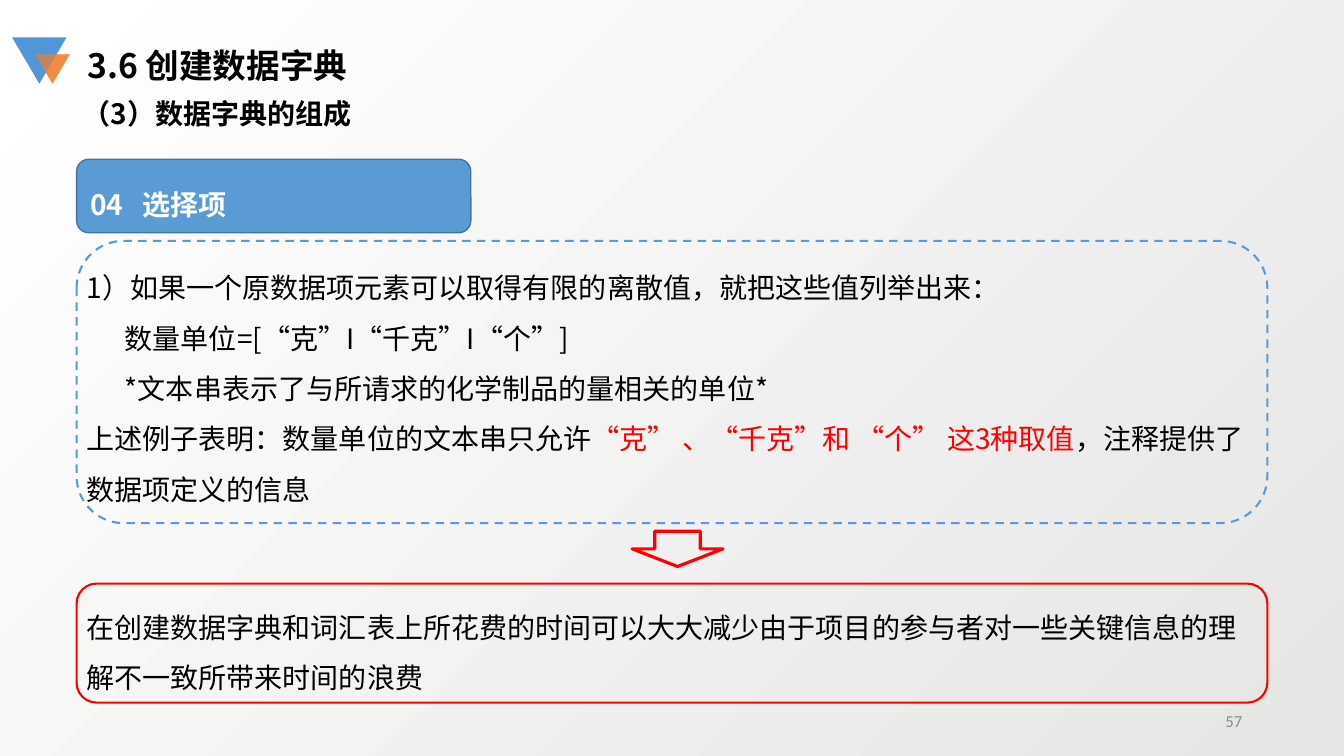
from pptx import Presentation
from pptx.dml.color import RGBColor
from pptx.enum.dml import MSO_LINE
from pptx.enum.shapes import MSO_SHAPE as SHAPE
from pptx.enum.text import MSO_ANCHOR as ANCHOR, MSO_AUTO_SIZE as AUTO_SIZE, PP_ALIGN as ALIGN
from pptx.oxml.ns import qn
from pptx.util import Pt
from lxml.etree import SubElement

PX = 9144
COLORS = {
    "black": "000000", "white": "FFFFFF", "red": "FF0000", "gray": "8C8C8C",
    "mist": "E6E6E5", "blue": "5B9BD5", "navy": "43739E",
    "logo_blue": "5197D7", "logo_orange": "F37D2A",
}
CJK = "Noto Sans CJK SC"
BODY = {"line_spacing": 1.5, "alignment": ALIGN.LEFT}
HEADING = {"bold": True}


def color(name):
    return RGBColor.from_string(COLORS[name])


def apply(target, values):
    for name, value in values.items():
        setattr(target, name, value)


class SlideBuilder:
    def __init__(self, width, height):
        self.presentation = Presentation()
        apply(self.presentation, {"slide_width": width * PX, "slide_height": height * PX})
        self.slide = self.presentation.slides.add_slide(self.presentation.slide_layouts[6])

    def background(self, *stops, angle):
        fill = self.slide.background.fill
        fill.gradient()
        fill.gradient_angle = angle
        for stop, name in zip(fill.gradient_stops, stops):
            stop.color.rgb = color(name)

    def shape(self, kind, box, fill=None, line=None, alpha=None, **values):
        shape = self.slide.shapes.add_shape(kind, *[length * PX for length in box])
        shape.shadow.inherit = False
        apply(shape, values)
        if fill:
            shape.fill.solid()
            shape.fill.fore_color.rgb = color(fill)
        else:
            shape.fill.background()
        if alpha:
            element = shape._element.spPr.find(".//" + qn("a:srgbClr"))
            SubElement(element, qn("a:alpha"), val=str(alpha * 1000))
        if line:
            name, width, dash = line
            shape.line.color.rgb = color(name)
            apply(shape.line, {"width": Pt(width), "dash_style": dash})
        else:
            shape.line.fill.background()
        return shape

    def text(self, box, paragraphs, anchor=ANCHOR.TOP, grow=True, **style):
        shape = self.slide.shapes.add_textbox(*[length * PX for length in box])
        size = AUTO_SIZE.SHAPE_TO_FIT_TEXT if grow else AUTO_SIZE.NONE
        apply(shape.text_frame, {"word_wrap": True, "auto_size": size, "vertical_anchor": anchor})
        self.fill_text(shape, paragraphs, **style)

    def fill_text(self, shape, paragraphs, layout=None, font=None, ink="black", tab=None):
        frame = shape.text_frame
        for index, (indent, *runs) in enumerate(paragraphs):
            paragraph = frame.add_paragraph() if index else frame.paragraphs[0]
            apply(paragraph, layout or {})
            properties = paragraph._p.get_or_add_pPr()
            if indent:
                properties.set("indent", str(indent * PX))
            if tab:
                tabs = SubElement(properties, qn("a:tabLst"))
                SubElement(tabs, qn("a:tab"), pos=str(tab * PX), algn="l")
            for part in runs:
                words, name = part if isinstance(part, tuple) else (part, ink)
                run = paragraph.add_run()
                run.text = words
                values = {"name": CJK, "size": Pt(20), **(font or {})}
                apply(run.font, values)
                run.font.color.rgb = color(name)
                SubElement(run._r.get_or_add_rPr(), qn("a:ea"), typeface=values["name"])

    def save(self):
        self.presentation.save("out.pptx")


def main():
    builder = SlideBuilder(1333, 750)
    builder.background("mist", "white", angle=135)

    orange = {"box": (35, 54, 34, 29), "fill": "logo_orange", "alpha": 68}
    blue = {"box": (12, 37, 54, 46), "fill": "logo_blue"}
    for triangle in (orange, blue, orange):
        builder.shape(SHAPE.ISOSCELES_TRIANGLE, rotation=180, **triangle)

    builder.text((77, 40, 353, 50), [(0, "3.6 创建数据字典")], font={"size": Pt(24), **HEADING})
    builder.text((72, 91, 849, 44), [(0, "（3）数据字典的组成")], font=HEADING)

    label = builder.shape(SHAPE.ROUNDED_RECTANGLE, (76, 158, 391, 73), "blue", ("navy", 1, None))
    builder.fill_text(label, [(0, "04\t选择项")], BODY, HEADING, "white", tab=52)

    builder.shape(SHAPE.ROUNDED_RECTANGLE, (76, 239, 1181, 280),
                  line=("blue", 1.5, MSO_LINE.DASH))
    builder.text((76, 247, 1181, 255), [
        (0, "1）如果一个原数据项元素可以取得有限的离散值，就把这些值列举出来："),
        (38, "数量单位=[“克”I“千克”I“个”]"),
        (38, "*文本串表示了与所请求的化学制品的量相关的单位*"),
        (0, "上述例子表明：数量单位的文本串只允许",
         ("“克” 、“千克”和 “个” 这3种取值", "red"),
         "，注释提供了数据项定义的信息"),
    ], layout=BODY)

    builder.shape(SHAPE.DOWN_ARROW, (627, 527, 90, 35), line=("red", 2.25, None))

    builder.shape(SHAPE.ROUNDED_RECTANGLE, (76, 579, 1181, 118), line=("red", 1.5, None))
    builder.text((76, 584, 1181, 105), [
        (0, "在创建数据字典和词汇表上所花费的时间可以大大减少由于项目的参与者"
            "对一些关键信息的理解不一致所带来时间的浪费"),
    ], layout=BODY)

    builder.text((942, 695, 300, 40), [(0, "57")], ANCHOR.MIDDLE, grow=False, ink="gray",
                 layout={"alignment": ALIGN.RIGHT}, font={"name": "Calibri", "size": Pt(12)})
    builder.save()


if __name__ == "__main__":
    main()
